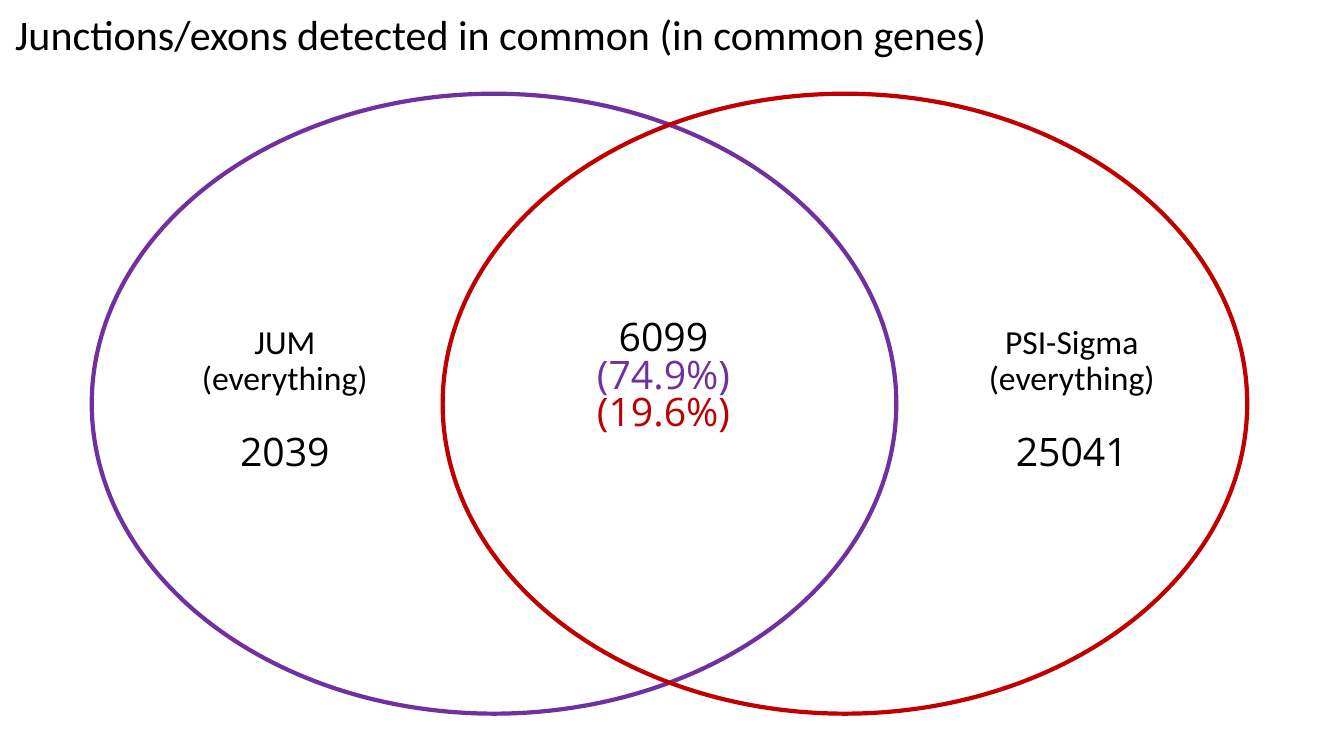
from pptx import Presentation
from pptx.dml.color import RGBColor
from pptx.enum.shapes import MSO_SHAPE as Shape
from pptx.enum.text import MSO_ANCHOR as Anchor, MSO_AUTO_SIZE as AutoSize, PP_ALIGN as Align
from pptx.util import Inches, Pt

BLACK, PURPLE, RED = "000000", "7030A0", "C00000"
LABEL_STYLE = ("Calibri", 24)
COUNT_STYLE = ("Open Sans", 28)


def color(hex_code):
    return RGBColor.from_string(hex_code)


def place(shape, box):
    shape.left, shape.top, shape.width, shape.height = map(Inches, box)


def write_lines(shape, lines, style, align=Align.CENTER, spacing=0.9):
    """Fill a shape with (text, colour) lines, one paragraph each."""
    frame = shape.text_frame
    frame.word_wrap = True
    frame.auto_size = AutoSize.NONE
    frame.vertical_anchor = Anchor.MIDDLE
    frame.text = "\n".join(text for text, _ in lines)
    for para, (_, hex_code) in zip(frame.paragraphs, lines):
        para.alignment = align
        para.line_spacing = spacing
        para.font.name, para.font.size = style[0], Pt(style[1])
        para.font.color.rgb = color(hex_code)


def add_title(slide, box, text):
    place(slide.shapes.title, box)
    write_lines(slide.shapes.title, [(text, BLACK)], ("Calibri", 30), Align.LEFT)


def add_text(slide, box, lines, style, spacing=0.9):
    text_box = slide.shapes.add_textbox(*map(Inches, box))
    write_lines(text_box, lines, style, spacing=spacing)


def add_set_outline(slide, box, hex_code):
    ellipse = slide.shapes.add_shape(Shape.OVAL, *map(Inches, box))
    ellipse.shadow.inherit = False
    ellipse.fill.background()
    ellipse.line.color.rgb = color(hex_code)
    ellipse.line.width = Pt(3)


def add_set_text(slide, box, name, count):
    """Write a set's name with the count of its unshared items below."""
    left, top, width, _ = box
    name_lines = [(name, BLACK), ("(everything)", BLACK)]
    add_text(slide, (left, top, width, 0.68), name_lines, LABEL_STYLE)
    add_text(slide, (left, top + 1, width, 0.5), [(count, BLACK)], COUNT_STYLE)


def add_venn(slide, box):
    left, top, width, height = box
    set_width = 7.98
    add_set_outline(slide, (left, top, set_width, height), PURPLE)
    add_set_text(slide, (left + 0.79, top + 2.32, 2.25, 1.5), "JUM", "2039")
    add_set_text(slide, (left + 8.64, top + 2.32, 2.16, 1.5), "PSI-Sigma", "25041")
    shared_lines = [("6099", BLACK), ("(74.9%)", PURPLE), ("(19.6%)", RED)]
    add_text(slide, (left + 4.56, top + 2.1, 2.22, 1.44), shared_lines, COUNT_STYLE, 0.8)
    add_set_outline(slide, (left + width - set_width, top, set_width, height), RED)


def main():
    deck = Presentation()
    deck.slide_width, deck.slide_height = Inches(13.33), Inches(7.5)
    slide = deck.slides.add_slide(deck.slide_layouts.get_by_name("Title Only"))
    add_title(slide, (0.05, 0, 10.67, 0.73),
              "Junctions/exons detected in common (in common genes)")
    add_venn(slide, (0.91, 0.93, 11.46, 6.15))
    deck.save("out.pptx")


if __name__ == "__main__":
    main()
